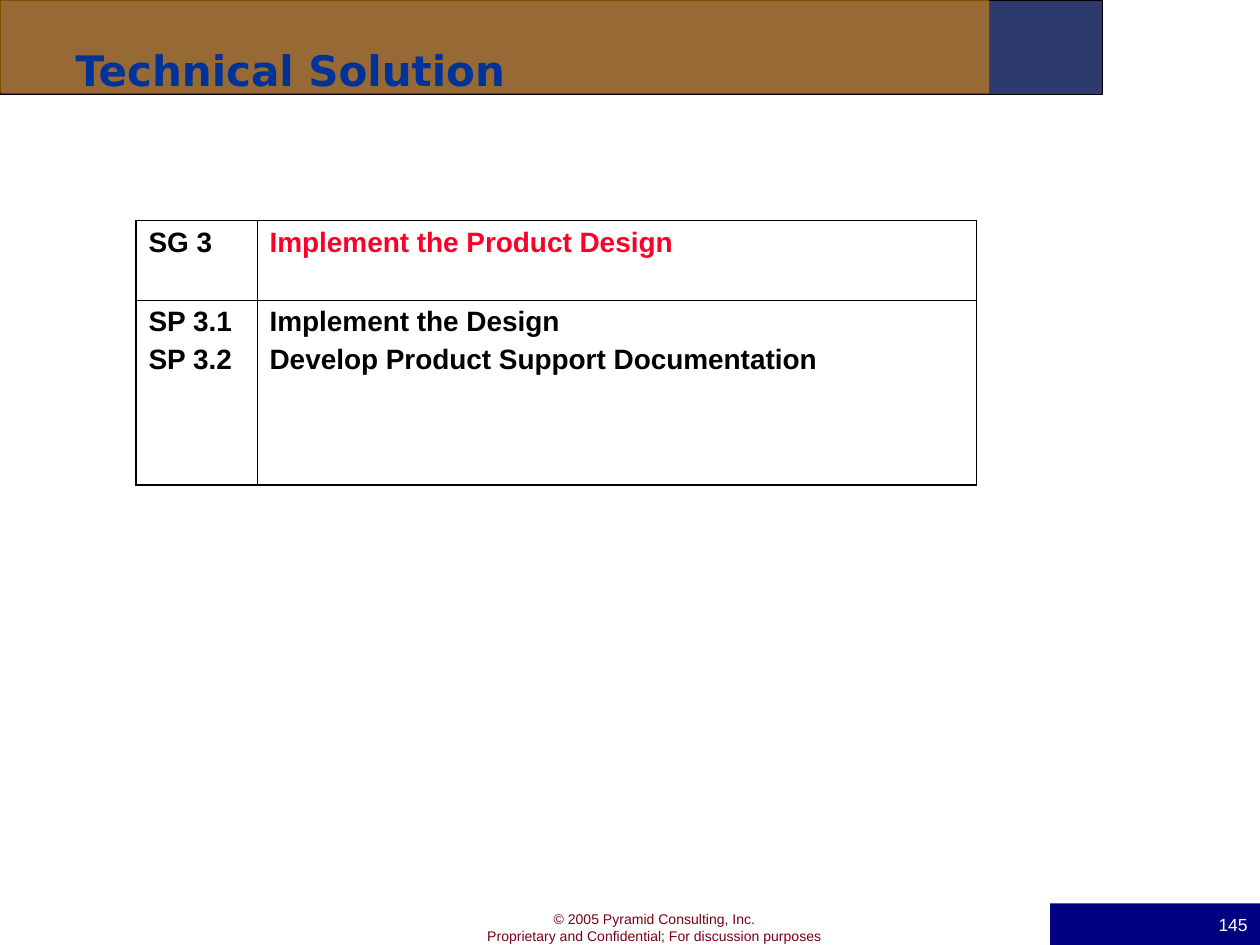
from dataclasses import dataclass

from lxml import etree
from pptx import Presentation
from pptx import util as u
from pptx.dml.color import RGBColor
from pptx.enum import text
from pptx.enum.shapes import MSO_SHAPE
from pptx.oxml.ns import qn


@dataclass(frozen=True)
class Theme:
    body_font: str = "Arial"
    title_font: str = "DejaVu Sans"
    title_size: float = 24
    table_size: float = 16
    number_size: float = 10
    footer_size: float = 8
    title: str = "003399"
    ink: str = "000000"
    goal: str = "FC0128"
    footer: str = "7A0014"
    band: str = "2E3A6C"
    overlay: str = "FF9900"
    number_fill: str = "000080"
    white: str = "FFFFFF"
    outer_line: float = 1.08
    inner_line: float = 0.45


THEME = Theme()
WIDTH, HEIGHT = 10, 7.5
COLUMNS = (0.96, 5.71)
ROWS = (0.63, 1.47)
PRACTICES = (
    (("SG 3",), ("Implement the Product Design",)),
    (("SP 3.1", "SP 3.2"),
     ("Implement the Design", "Develop Product Support Documentation")),
)


def inches(*lengths):
    return [u.Inches(length) for length in lengths]


def write(frame, lines, size, color, font=THEME.body_font, bold=False,
          align=text.PP_ALIGN.LEFT, gap=0):
    """Fill a text frame, one paragraph a line, with gap points between them."""
    frame.text = "\n".join(lines)
    for index, paragraph in enumerate(frame.paragraphs):
        paragraph.alignment = align
        paragraph.space_before = u.Pt(gap if index else 0)
        paragraph.font.name = font
        paragraph.font.size = u.Pt(size)
        paragraph.font.bold = bold
        paragraph.font.color.rgb = RGBColor.from_string(color)


def add_band(slide, box, fill, opacity=100, outline=None):
    band = slide.shapes.add_shape(MSO_SHAPE.RECTANGLE, *inches(*box))
    band.shadow.inherit = False
    band.fill.solid()
    band.fill.fore_color.rgb = RGBColor.from_string(fill)
    if opacity < 100:
        color = band.fill._xPr.find(f"{qn('a:solidFill')}/{qn('a:srgbClr')}")
        etree.SubElement(color, qn("a:alpha"), val=str(opacity * 1000))
    if outline:
        band.line.color.rgb = RGBColor.from_string(outline)
        band.line.width = u.Pt(0.75)
    else:
        band.line.fill.background()
    return band


def add_footer(slide):
    footer = slide.shapes.add_textbox(*inches(3.72, 7.18, 2.95, 0.37)).text_frame
    footer.word_wrap = True
    write(footer, ("© 2005 Pyramid Consulting, Inc.",
                   "Proprietary and Confidential; For discussion purposes"),
          THEME.footer_size, THEME.footer, align=text.PP_ALIGN.CENTER)


def set_borders(cell, widths):
    """Draw cell borders; widths are points for left, right, top and bottom."""
    properties = cell._tc.get_or_add_tcPr()
    for index, (side, width) in enumerate(zip("LRTB", widths)):
        line = etree.Element(qn(f"a:ln{side}"), w=str(u.Pt(width)))
        fill = etree.SubElement(line, qn("a:solidFill"))
        etree.SubElement(fill, qn("a:srgbClr"), val=THEME.ink)
        properties.insert(index, line)


def add_practices(slide):
    table = slide.shapes.add_table(
        len(ROWS), len(COLUMNS),
        *inches(1.08, 1.75, sum(COLUMNS), sum(ROWS))).table
    table.first_row = table.horz_banding = False
    for column, width in zip(table.columns, COLUMNS):
        column.width = u.Inches(width)
    for row, height in zip(table.rows, ROWS):
        row.height = u.Inches(height)

    last_row, last_column = len(ROWS) - 1, len(COLUMNS) - 1
    for r, row in enumerate(PRACTICES):
        for c, lines in enumerate(row):
            cell = table.cell(r, c)
            cell.fill.background()
            cell.margin_left = cell.margin_right = u.Inches(0.1)
            cell.margin_top = cell.margin_bottom = u.Inches(0.05)
            is_goal = (r, c) == (0, 1)
            write(cell.text_frame, lines, THEME.table_size,
                  THEME.goal if is_goal else THEME.ink, bold=True, gap=4)
            on_edge = (c == 0, c == last_column, r == 0, r == last_row)
            set_borders(cell, [THEME.outer_line if edge else THEME.inner_line
                               for edge in on_edge])


def place_title(slide, wording):
    """Format the title and bring it in front of the header bands."""
    title = slide.shapes.title
    title.left, title.top, title.width, title.height = inches(
        0.05 * WIDTH, 0.04 * HEIGHT, 0.9 * WIDTH, HEIGHT / 6)
    title.text_frame.vertical_anchor = text.MSO_ANCHOR.TOP
    write(title.text_frame, (wording,), THEME.title_size, THEME.title,
          THEME.title_font, bold=True)
    slide.shapes._spTree.append(title._element)


def add_page_number(slide, number):
    band = add_band(slide, (WIDTH * 5 / 6, 7.17, WIDTH / 6, 0.33),
                    THEME.number_fill)
    band.text_frame.vertical_anchor = text.MSO_ANCHOR.MIDDLE
    write(band.text_frame, (str(number),), THEME.number_size, THEME.white,
          align=text.PP_ALIGN.RIGHT)


def main():
    deck = Presentation()
    deck.slide_width, deck.slide_height = inches(WIDTH, HEIGHT)
    slide = deck.slides.add_slide(deck.slide_layouts[5])
    add_band(slide, (0, 0, 8.75, 0.75), THEME.band, outline=THEME.ink)
    add_footer(slide)
    add_band(slide, (0, 0, 7.85, 0.74), THEME.overlay, opacity=50)
    add_practices(slide)
    place_title(slide, "Technical Solution")
    add_page_number(slide, 145)
    deck.save("out.pptx")


if __name__ == "__main__":
    main()
